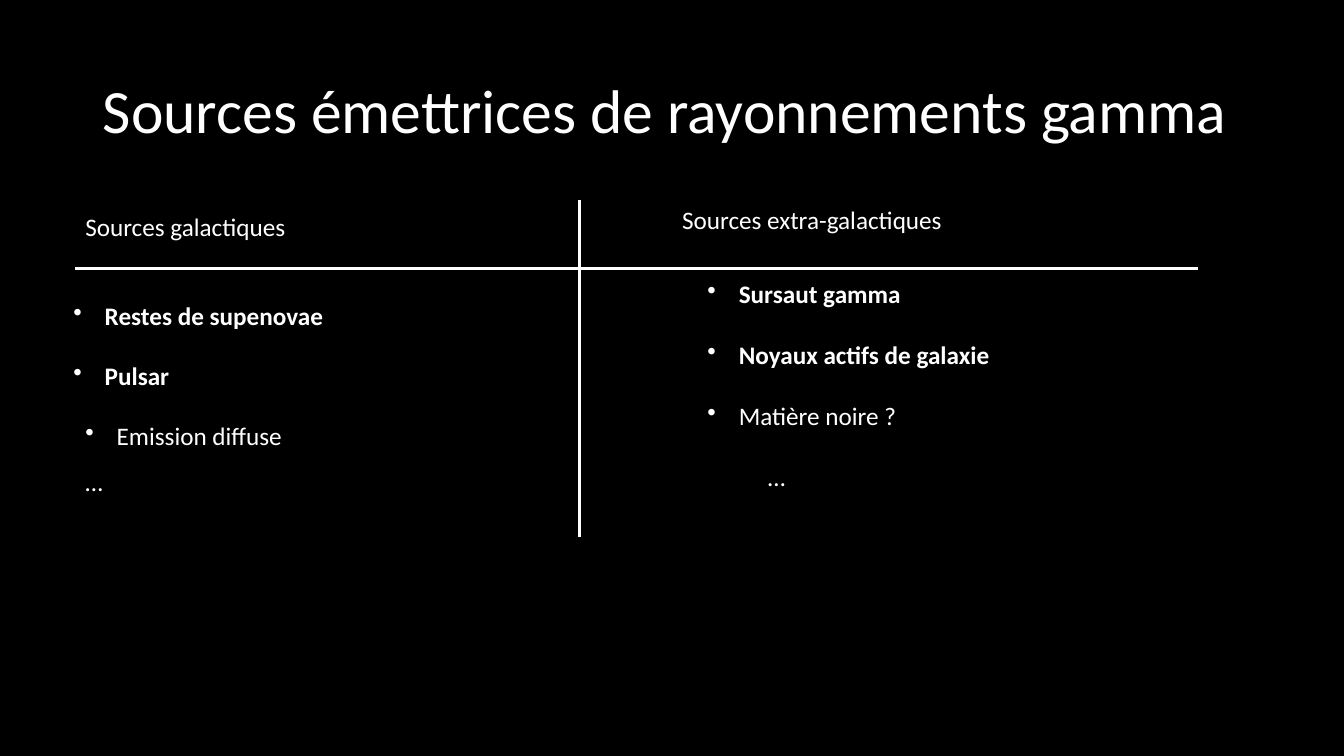
import pptx
import pptx.dml.color
import pptx.enum.shapes
import pptx.enum.text
import pptx.oxml
import pptx.oxml.ns
import pptx.util

Cm = pptx.util.Cm
Pt = pptx.util.Pt
WHITE = "FFFFFF"
BLACK = "000000"
INDENT = Cm(0.79)
LINE_HEIGHT = 1.02

HEADINGS = [
    ("Sources galactiques", 1.9, 5.21, 6.22),
    ("Sources extra-galactiques", 16.94, 5.03, 10.01),
]
GALACTIC = [
    ("Restes de supenovae", 1.6, 14.68, True),
    ("Pulsar", 1.6, 7.01, True),
    ("Emission diffuse", 1.9, 7.01, False),
]
EXTRAGALACTIC = [
    ("Sursaut gamma", 17.58, 14.68, True),
    ("Noyaux actifs de galaxie", 17.58, 14.68, True),
    ("Matière noire ?", 17.58, 7.01, False),
]
ELLIPSES = [("…", 1.9, 11.63, 4.78), ("…", 19.1, 11.51, 4.78)]
RULES = [(1.9, 6.76, 30.18, 6.76), (14.6, 13.54, 14.6, 5.03)]


def paint(color_format, value):
    """Set a colour format from a hex string."""
    color_format.rgb = pptx.dml.color.RGBColor.from_string(value)


def format_font(font, **values):
    """Apply the slide's typeface and colour with the given font values."""
    for name, value in {"name": "Calibri", **values}.items():
        setattr(font, name, value)
    font.fill.solid()
    paint(font.fill.fore_color, WHITE)


def add_bullet(para):
    """Give a paragraph a round bullet with a hanging indent."""
    properties = para._p.get_or_add_pPr()
    properties.set("marL", str(INDENT))
    properties.set("indent", str(-INDENT))
    bullet = pptx.oxml.parse_xml(
        f'<a:buChar {pptx.oxml.ns.nsdecls("a")} char="•"/>'
    )
    properties.append(bullet)


def add_text(page, text, left, top, width, bold=False, bullet=False):
    """Add a one-line text box, bulleted if asked."""
    box = page.shapes.add_textbox(Cm(left), Cm(top), Cm(width), Cm(LINE_HEIGHT))
    frame = box.text_frame
    frame.word_wrap = True
    frame.auto_size = pptx.enum.text.MSO_AUTO_SIZE.SHAPE_TO_FIT_TEXT
    para = frame.paragraphs[0]
    if bullet:
        add_bullet(para)
    span = para.add_run()
    span.text = text
    format_font(span.font, size=Pt(18), bold=bold)


def add_list(page, items, top, pitch):
    """Add bulleted lines at an equal vertical pitch."""
    for index, (text, left, width, bold) in enumerate(items):
        add_text(page, text, left, top + index * pitch, width, bold, bullet=True)


def add_rule(page, *ends):
    """Add a straight white line between two points."""
    rule = page.shapes.add_connector(
        pptx.enum.shapes.MSO_CONNECTOR.STRAIGHT, *map(Cm, ends)
    )
    rule.line.width = Pt(2.25)
    paint(rule.line.color, WHITE)
    rule._element.spPr.append(
        pptx.oxml.parse_xml(f'<a:effectLst {pptx.oxml.ns.nsdecls("a")}/>')
    )


def set_title(page, text):
    """Place and format the title placeholder."""
    title = page.shapes.title
    place = {"left": 2.34, "top": 1.02, "width": 29.21, "height": 3.68}
    for name, value in place.items():
        setattr(title, name, Cm(value))
    frame = title.text_frame
    frame.word_wrap = True
    frame.vertical_anchor = pptx.enum.text.MSO_ANCHOR.MIDDLE
    para = frame.paragraphs[0]
    para.alignment = pptx.enum.text.PP_ALIGN.LEFT
    para.line_spacing = 0.9
    span = para.add_run()
    span.text = text
    format_font(span.font, size=Pt(44))


def main():
    """Build and save the slide."""
    deck = pptx.Presentation()
    deck.slide_width, deck.slide_height = Cm(33.87), Cm(19.05)
    page = deck.slides.add_slide(deck.slide_layouts.get_by_name("Title Only"))
    page.background.fill.solid()
    paint(page.background.fill.fore_color, BLACK)
    set_title(page, "Sources émettrices de rayonnements gamma")
    for item in HEADINGS + ELLIPSES:
        add_text(page, *item)
    add_list(page, GALACTIC, top=7.44, pitch=1.51)
    add_list(page, EXTRAGALACTIC, top=6.88, pitch=1.54)
    for ends in RULES:
        add_rule(page, *ends)
    deck.save("out.pptx")


if __name__ == "__main__":
    main()
